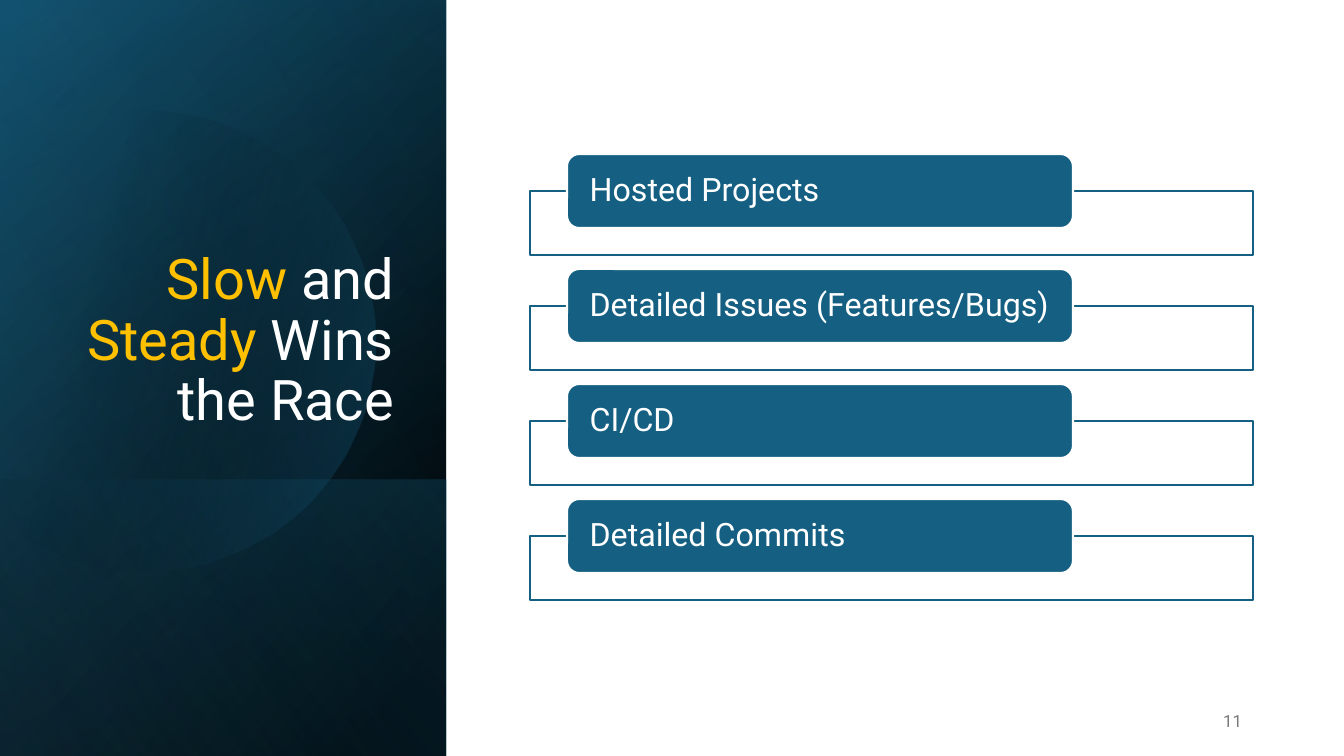
from dataclasses import dataclass
from math import acos, cos, pi, sin

from lxml.etree import SubElement
from pptx import Presentation
from pptx.dml.color import RGBColor
from pptx.enum.shapes import MSO_SHAPE
from pptx.enum.text import MSO_ANCHOR, MSO_AUTO_SIZE, PP_ALIGN
from pptx.oxml.ns import qn
from pptx.util import Pt

# Content
TITLE = [("Slow", "accent"), (" and ", "light"), ("Steady", "accent"), (" Wins the Race", "light")]
PRACTICES = ["Hosted Projects", "Detailed Issues (Features/Bugs)", "CI/CD", "Detailed Commits"]
PAGE_NUMBER = "11"


@dataclass(frozen=True)
class Theme:
    font: str = "Roboto"
    accent: str = "FFC000"
    light: str = "FFFFFF"
    dark: str = "000000"
    blue: str = "156082"
    deep_blue: str = "104862"
    sky: str = "46B1E1"
    grey: str = "797979"
    title_size: int = 40
    practice_size: int = 23
    number_size: int = 12
    line: float = 1.5


THEME = Theme()

# Geometry in px
PX = 914400 / 100.8
SLIDE_W, SLIDE_H = 1344, 756
PANEL_W = 446
DISC_X, DISC_Y, DISC_R, DISC_CUT = 145, 341, 230, -15
FRAME_LEFT, FRAME_TOP, FRAME_W, FRAME_H = 530, 191, 723, 64
LABEL_LEFT, LABEL_TOP, LABEL_W, LABEL_H = 567, 154, 506, 74
PITCH = 115

# Side panel layers: top, height, gradient angle, stops of (position, colour, opacity)
BASE_LAYERS = [
    (0, SLIDE_H, 50, [(8, THEME.dark, 100), (100, THEME.deep_blue, 100)]),
    (0, SLIDE_H, 30, [(0, THEME.dark, 0), (99, THEME.blue, 46)]),
    (480, 276, 130, [(2, THEME.blue, 29), (100, THEME.dark, 30)]),
]
DISC_GRADIENT = (14, [(29, THEME.dark, 0), (100, THEME.blue, 43)])
TOP_LAYER = (0, SLIDE_H, 120, [(0, THEME.dark, 0), (99, THEME.sky, 11)])


def box(*lengths):
    return [round(length * PX) for length in lengths]


def rgb(colour):
    return RGBColor.from_string(colour)


def fill_gradient(shape, angle, stops):
    """Give a shape a linear gradient with opacity and no outline."""
    shape.shadow.inherit = False
    shape.line.fill.background()
    shape.fill.background()
    properties = shape.element.spPr
    empty_fill = properties.find(qn("a:noFill"))
    gradient = SubElement(properties, qn("a:gradFill"), rotWithShape="1")
    properties.replace(empty_fill, gradient)
    stop_list = SubElement(gradient, qn("a:gsLst"))
    for position, colour, opacity in stops:
        stop = SubElement(stop_list, qn("a:gs"), pos=str(position * 1000))
        tint = SubElement(stop, qn("a:srgbClr"), val=colour)
        SubElement(tint, qn("a:alpha"), val=str(opacity * 1000))
    SubElement(gradient, qn("a:lin"), ang=str(angle * 60000), scaled="0")


def add_layer(slide, top, height, angle, stops):
    """Add a mirrored panel layer, turned a quarter about its centre."""
    shift = (PANEL_W - height) / 2
    layer = slide.shapes.add_shape(MSO_SHAPE.RECTANGLE, *box(shift, top - shift, height, PANEL_W))
    layer.rotation = 90
    layer.element.spPr.find(qn("a:xfrm")).set("flipH", "1")
    fill_gradient(layer, angle, stops)


def add_disc(slide):
    """Add a circle cut off by a vertical edge on its left."""
    reach = acos((DISC_CUT - DISC_X) / DISC_R)
    steps = 90
    angles = [reach * (2 * i / steps - 1) for i in range(steps + 1)]
    rim = [(DISC_X + DISC_R * cos(a), DISC_Y + DISC_R * sin(a)) for a in angles]
    outline = slide.shapes.build_freeform(*rim[0], scale=PX)
    outline.add_line_segments(rim[1:], close=True)
    fill_gradient(outline.convert_to_shape(), *DISC_GRADIENT)


def add_block(slide, kind, place, fill, line):
    block = slide.shapes.add_shape(kind, *box(*place))
    block.shadow.inherit = False
    block.fill.solid()
    block.fill.fore_color.rgb = rgb(fill)
    block.line.color.rgb = rgb(line)
    block.line.width = Pt(THEME.line)
    return block


def style(paragraph, size, alignment, colour=None):
    paragraph.alignment = alignment
    paragraph.font.name = THEME.font
    paragraph.font.size = Pt(size)
    if colour:
        paragraph.font.color.rgb = rgb(colour)


def add_practice(slide, practice, offset):
    add_block(slide, MSO_SHAPE.RECTANGLE, (FRAME_LEFT, FRAME_TOP + offset, FRAME_W, FRAME_H),
              THEME.light, THEME.blue)
    label = add_block(slide, MSO_SHAPE.ROUNDED_RECTANGLE,
                      (LABEL_LEFT, LABEL_TOP + offset, LABEL_W, LABEL_H), THEME.blue, THEME.light)
    frame = label.text_frame
    frame.margin_left, frame.margin_right, frame.margin_top, frame.margin_bottom = box(19, 8, 0, 0)
    frame.vertical_anchor = MSO_ANCHOR.MIDDLE
    frame.word_wrap = True
    frame.text = practice
    frame.paragraphs[0].line_spacing = 0.9
    style(frame.paragraphs[0], THEME.practice_size, PP_ALIGN.LEFT, THEME.light)


def write_title(slide):
    title = slide.shapes.title
    title.left, title.top, title.width, title.height = box(51, 65, 353, 373)
    # Bring the title in front of the panel
    title.element.getparent().append(title.element)
    frame = title.text_frame
    frame.auto_size = MSO_AUTO_SIZE.NONE
    frame.word_wrap = True
    frame.vertical_anchor = MSO_ANCHOR.BOTTOM
    heading = frame.paragraphs[0]
    heading.line_spacing = 0.9
    style(heading, THEME.title_size, PP_ALIGN.RIGHT)
    for words, role in TITLE:
        run = heading.add_run()
        run.text = words
        run.font.color.rgb = rgb(getattr(THEME, role))


def add_page_number(slide):
    frame = slide.shapes.add_textbox(*box(950, 701, 302, 40)).text_frame
    frame.word_wrap = True
    frame.vertical_anchor = MSO_ANCHOR.MIDDLE
    frame.text = PAGE_NUMBER
    style(frame.paragraphs[0], THEME.number_size, PP_ALIGN.RIGHT, THEME.grey)


def main():
    deck = Presentation()
    deck.slide_width, deck.slide_height = box(SLIDE_W, SLIDE_H)
    slide = deck.slides.add_slide(deck.slide_layouts[5])

    # Side panel
    for layer in BASE_LAYERS:
        add_layer(slide, *layer)
    add_disc(slide)
    add_layer(slide, *TOP_LAYER)
    write_title(slide)

    # Practices
    for row, practice in enumerate(PRACTICES):
        add_practice(slide, practice, row * PITCH)

    add_page_number(slide)
    deck.save("out.pptx")


if __name__ == "__main__":
    main()
